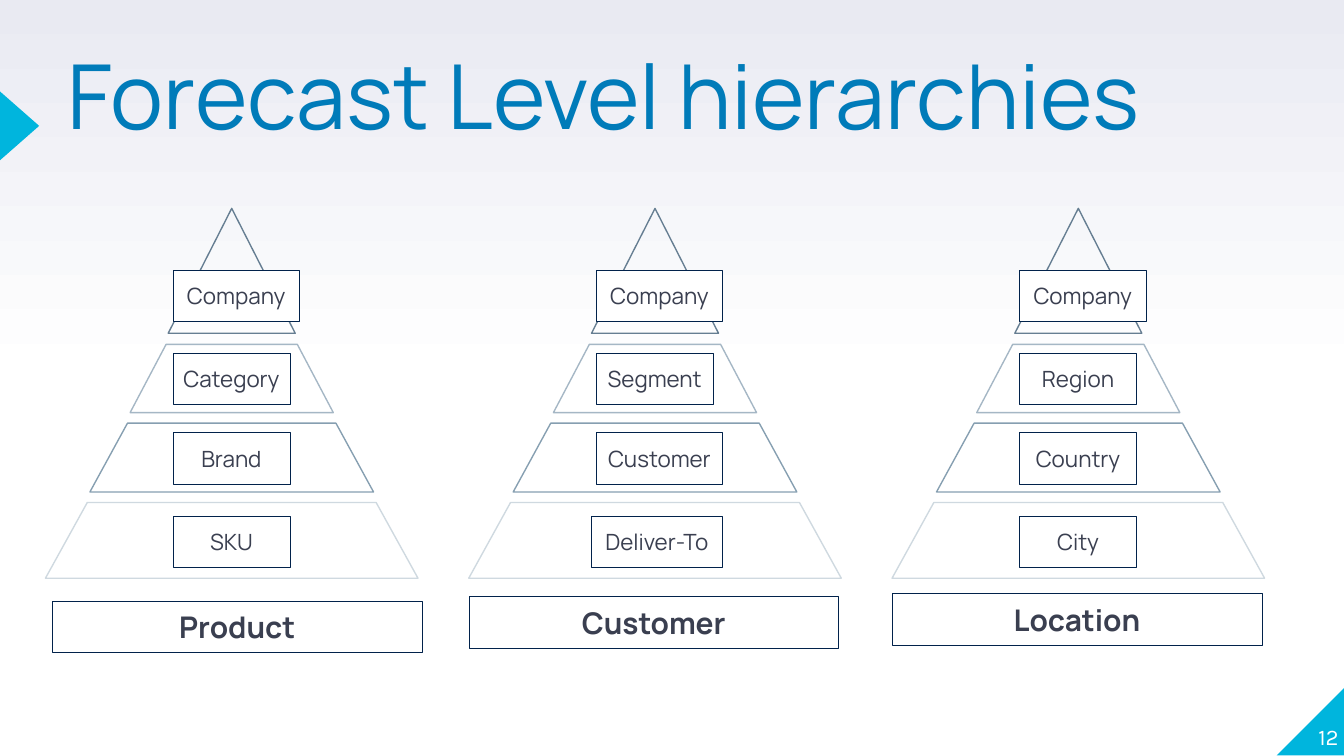
from pptx import Presentation
from pptx.dml.color import RGBColor
from pptx.enum.shapes import MSO_SHAPE as SHAPE
from pptx.enum.text import MSO_ANCHOR as ANCHOR, PP_ALIGN as ALIGN
from pptx.oxml.ns import qn
from pptx.util import Cm, Pt

COLORS = {
    "white": "FFFFFF", "mist": "E9EAF2", "cyan": "00B5DD", "blue": "007BB9",
    "navy": "01224B", "ink": "3A3F50",
}

# Pyramid tiers from the tip down: top, bottom, half widths at both, outline
TIERS = [
    (0, 2.36, 0, 1.2, "667E92"),
    (2.57, 3.86, 1.24, 1.92, "A5B7C5"),
    (4.06, 5.36, 1.97, 2.68, "869FB1"),
    (5.56, 6.99, 2.73, 3.52, "CFD9E0"),
]
LABEL_TOPS = [1.17, 2.74, 4.24, 5.82]
LABEL_LEFT, LABEL_RIGHT = 2.41, 4.8
LABEL_W, WIDE_W, WIDEST_W = 2.21, 2.39, 2.49
BOX_H, CAPTION_W = 0.97, 6.99

# Caption, its offset from the pyramid's corner, and the level labels
HIERARCHIES = [
    ("Product", (0.13, 7.42),
     [("Company", WIDE_W), ("Category", LABEL_W), ("Brand", LABEL_W), ("SKU", LABEL_W)]),
    ("Customer", (0, 7.34),
     [("Company", WIDE_W), ("Segment", LABEL_W), ("Customer", WIDE_W), ("Deliver-To", WIDEST_W)]),
    ("Location", (0, 7.28),
     [("Company", WIDE_W), ("Region", LABEL_W), ("Country", LABEL_W), ("City", LABEL_W)]),
]
PYRAMID_LEFT, PYRAMID_TOP, PYRAMID_W, PYRAMID_STEP = 0.86, 3.94, 7.04, 8


def rgb(name):
    return RGBColor.from_string(COLORS.get(name, name))


def write(sp, text, size=12, color="ink", font="Manrope", bold=False,
          align=ALIGN.CENTER, anchor=ANCHOR.MIDDLE, insets=(0.18, 0.1), spacing=None):
    tf = sp.text_frame
    tf.word_wrap = True
    tf.vertical_anchor = anchor
    tf.margin_left = tf.margin_right = Cm(insets[0])
    tf.margin_top = tf.margin_bottom = Cm(insets[1])
    p = tf.paragraphs[0]
    p.alignment = align
    p.line_spacing = spacing
    r = p.add_run()
    r.text = text
    r.font.size, r.font.name, r.font.bold = Pt(size), font, bold
    r.font.color.rgb = rgb(color)


def add_shape(slide, kind, x, y, w, h, fill, line=None):
    sp = slide.shapes.add_shape(kind, Cm(x), Cm(y), Cm(w), Cm(h))
    sp.shadow.inherit = False
    sp.fill.solid()
    sp.fill.fore_color.rgb = rgb(fill)
    if line:
        sp.line.color.rgb = rgb(line)
        sp.line.width = Pt(0.25)
    else:
        sp.line.fill.background()
    return sp


def add_label(slide, x, y, w, text, **fmt):
    sp = add_shape(slide, SHAPE.RECTANGLE, x, y, w, BOX_H, "white", "navy")
    write(sp, text, **fmt)


def add_background(slide):
    fill = slide.background.fill
    fill.gradient()
    fill.gradient_angle = 90
    for stop, position, color in zip(fill.gradient_stops, (0.5, 1), ("white", "mist")):
        stop.position = position
        stop.color.rgb = rgb(color)


def add_title(slide, x, y, w, h, text):
    marker = add_shape(slide, SHAPE.ISOSCELES_TRIANGLE, x - 1.55, y + 0.87, 1.3, 0.74, "cyan")
    marker.rotation = 90
    box = slide.shapes.add_textbox(Cm(x), Cm(y), Cm(w), Cm(h))
    write(box, text, size=48, color="blue", align=ALIGN.LEFT, anchor=ANCHOR.TOP,
          insets=(0, 0), spacing=0.8)


def add_page_corner(slide, x, y, side, number):
    corner = add_shape(slide, SHAPE.RIGHT_TRIANGLE, x, y, side, side, "cyan")
    corner._element.spPr.find(qn("a:xfrm")).set("flipH", "1")
    box = slide.shapes.add_textbox(Cm(x - 0.1), Cm(y - 0.1), Cm(side - 0.03), Cm(side))
    write(box, number, color="white", font="Karla", align=ALIGN.RIGHT,
          anchor=ANCHOR.BOTTOM, insets=(0, 0))


def add_pyramid(slide, x, y, w):
    group = slide.shapes.add_group_shape()
    mid = x + w / 2
    for top, bottom, half_top, half_bottom, color in TIERS:
        corners = [(mid - half_top, top), (mid - half_bottom, bottom),
                   (mid + half_bottom, bottom)]
        if half_top:
            corners.append((mid + half_top, top))
        points = [(Cm(px), Cm(y + py)) for px, py in corners]
        outline = group.shapes.build_freeform(*points[0])
        outline.add_line_segments(points[1:], close=True)
        sp = outline.convert_to_shape()
        sp.shadow.inherit = False
        sp.fill.background()
        sp.line.color.rgb = rgb(color)
        sp.line.width = Pt(0.75)


def add_hierarchy(slide, x, y, w, caption, caption_offset, levels):
    add_pyramid(slide, x, y, w)
    for top, (text, width) in zip(LABEL_TOPS, levels):
        left = min(LABEL_LEFT, LABEL_RIGHT - width)
        add_label(slide, x + left, y + top, width, text)
    dx, dy = caption_offset
    add_label(slide, x + dx, y + dy, CAPTION_W, caption, size=16, bold=True)


def main():
    prs = Presentation()
    prs.slide_width, prs.slide_height = Cm(25.4), Cm(14.29)
    slide = prs.slides.add_slide(prs.slide_layouts[6])
    add_background(slide)
    add_page_corner(slide, 24.13, 12.98, 1.3, "12")
    add_title(slide, 1.27, 1.14, 21.23, 1.65, "Forecast Level hierarchies")
    for i, hierarchy in enumerate(HIERARCHIES):
        add_hierarchy(slide, PYRAMID_LEFT + i * PYRAMID_STEP, PYRAMID_TOP, PYRAMID_W, *hierarchy)
    prs.save("out.pptx")


if __name__ == "__main__":
    main()
